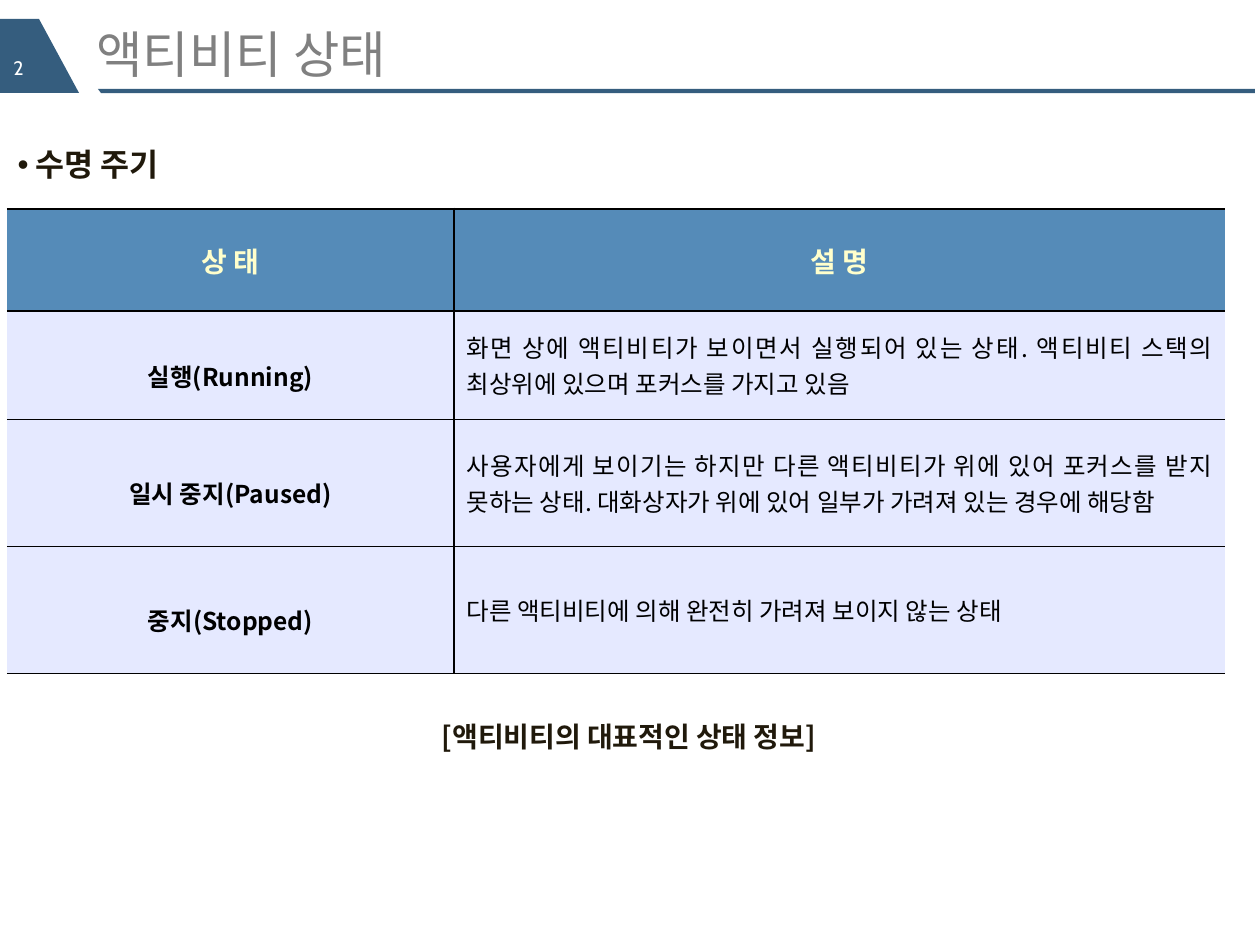
from lxml.etree import SubElement
from pptx import Presentation
from pptx.dml.color import RGBColor
from pptx.enum.text import MSO_ANCHOR, MSO_AUTO_SIZE, PP_ALIGN
from pptx.oxml.ns import qn
from pptx.util import Pt

# Content
TITLE = "액티비티 상태"
PAGE = "2"
TOPIC = " 수명 주기"
NOTE = "[액티비티의 대표적인 상태 정보]"
HEAD = ("상 태", "설 명")
STATES = [
    ("실행(Running)",
     "화면 상에 액티비티가 보이면서 실행되어 있는 상태. "
     "액티비티 스택의 최상위에 있으며 포커스를 가지고 있음"),
    ("일시 중지(Paused)",
     "사용자에게 보이기는 하지만 다른 액티비티가 위에 있어 포커스를 받지 못하는 상태. "
     "대화상자가 위에 있어 일부가 가려져 있는 경우에 해당함"),
    ("중지(Stopped)", "다른 액티비티에 의해 완전히 가려져 보이지 않는 상태"),
]

# Style
COLORS = {
    "navy": "355D7E", "blue": "558BB8", "pale": "E5E9FF", "cream": "FFFFCC",
    "gray": "808080", "brown": "20190B", "black": "000000", "white": "FFFFFF",
}
KOREAN, LATIN = "Noto Sans CJK KR", "Cabin"
THICK, THIN = 1.7, 0.56

# Layout in px
SCALE = 914400 / 126
COLS = (447, 771)
ROWS = (102, 108, 127, 127)
BAR = [(98, 89), (1255, 89), (1255, 93), (101, 93)]
TAB = [(39, 19), (79, 93), (0, 93), (0, 19)]


def px(n):
    return round(n * SCALE)


def rgb(name):
    return RGBColor.from_string(COLORS[name])


def place(shape, *box):
    shape.left, shape.top, shape.width, shape.height = map(px, box)


def draw(slide, points):
    path = slide.shapes.build_freeform(*points[0], scale=SCALE)
    path.add_line_segments(points[1:], close=True)
    shape = path.convert_to_shape()
    shape.shadow.inherit = False
    shape.fill.solid()
    shape.fill.fore_color.rgb = rgb("navy")
    shape.line.fill.background()


def write(frame, text, size, color, bold=False, font=KOREAN,
          align=PP_ALIGN.LEFT, space=None):
    frame.word_wrap = True
    para = frame.paragraphs[0]
    para.alignment = align
    para.space_before = Pt(0)
    if space:
        para.line_spacing = space
    run = para.add_run()
    run.text = text
    run.font.size = Pt(size)
    run.font.bold = bold
    run.font.name = font
    run.font.color.rgb = rgb(color)
    SubElement(run.font._element, qn("a:ea"), typeface=font)
    return para


def label(slide, box, *args, **style):
    shape = slide.shapes.add_textbox(*map(px, box))
    write(shape.text_frame, *args, **style)


def border(cell, **edges):
    props = cell._tc.get_or_add_tcPr()
    for side in "LRTB":
        width = edges.get(side, 0)
        line = SubElement(props, qn("a:ln" + side), w=str(Pt(width)))
        if width:
            fill = SubElement(line, qn("a:solidFill"))
            SubElement(fill, qn("a:srgbClr"), val=COLORS["black"])
        else:
            SubElement(line, qn("a:noFill"))


def fill_cell(cell, row, col, text):
    # Rules: thick around the header and between columns, thin elsewhere
    border(cell, T=THICK if row < 2 else THIN, B=THIN if row else THICK,
           **{"L" if col else "R": THICK})
    cell.fill.solid()
    cell.fill.fore_color.rgb = rgb("pale" if row else "blue")
    cell.vertical_anchor = MSO_ANCHOR.MIDDLE
    if row == 0:
        write(cell.text_frame, text, 16, "cream", True, align=PP_ALIGN.CENTER)
    elif col == 0:
        write(cell.text_frame, text, 14, "black", True,
              align=PP_ALIGN.CENTER, space=1.6)
    else:
        write(cell.text_frame, text, 14, "black", align=PP_ALIGN.JUSTIFY)


def main():
    deck = Presentation()
    deck.slide_width, deck.slide_height = px(1260), px(945)
    slide = deck.slides.add_slide(deck.slide_layouts[1])
    title, body = slide.placeholders

    # Header band
    draw(slide, BAR)
    draw(slide, TAB)
    label(slide, (1, 50, 73, 34), PAGE, 11.2, "white", font=LATIN)
    place(title, 84, 31, 1124, 45)
    title.text_frame.vertical_anchor = MSO_ANCHOR.MIDDLE
    title.text_frame.auto_size = MSO_AUTO_SIZE.NONE
    write(title.text_frame, TITLE, 28.8, "gray")

    # Topic bullet
    place(body, 5, 135, 804, 48)
    body.text_frame.auto_size = MSO_AUTO_SIZE.NONE
    para = write(body.text_frame, TOPIC, 18, "brown", True, space=Pt(24))
    props = para._p.get_or_add_pPr()
    props.set("marL", "0")
    props.set("indent", "0")
    SubElement(props, qn("a:buChar"), char="•")

    # State table
    grid = [HEAD, *STATES]
    table = slide.shapes.add_table(
        len(ROWS), len(COLS), px(7), px(209), px(sum(COLS)), px(sum(ROWS))).table
    table.first_row = table.horz_banding = False
    for col, width in enumerate(COLS):
        table.columns[col].width = px(width)
    for row, height in enumerate(ROWS):
        table.rows[row].height = px(height)
        for col, text in enumerate(grid[row]):
            fill_cell(table.cell(row, col), row, col, text)

    # Caption
    label(slide, (382, 713, 494, 47), NOTE, 16, "brown", True,
          align=PP_ALIGN.CENTER)
    deck.save("out.pptx")


if __name__ == "__main__":
    main()
